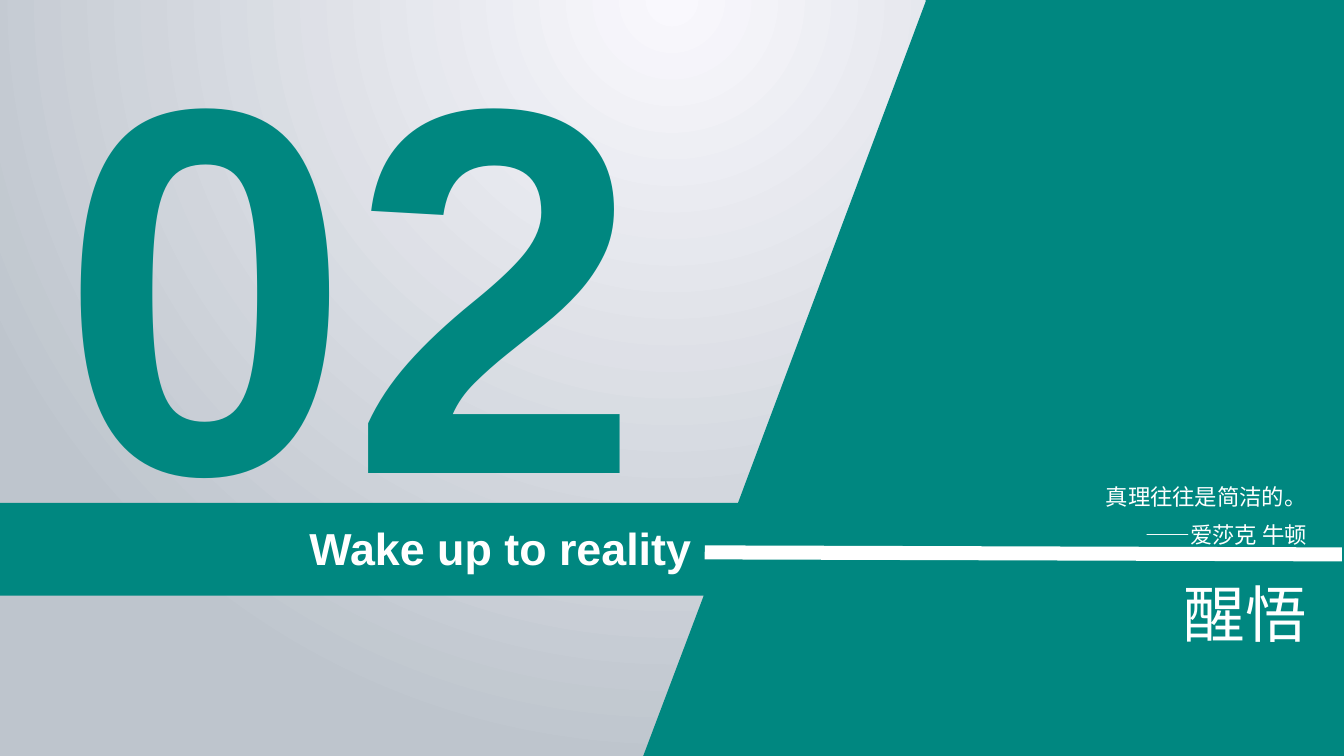
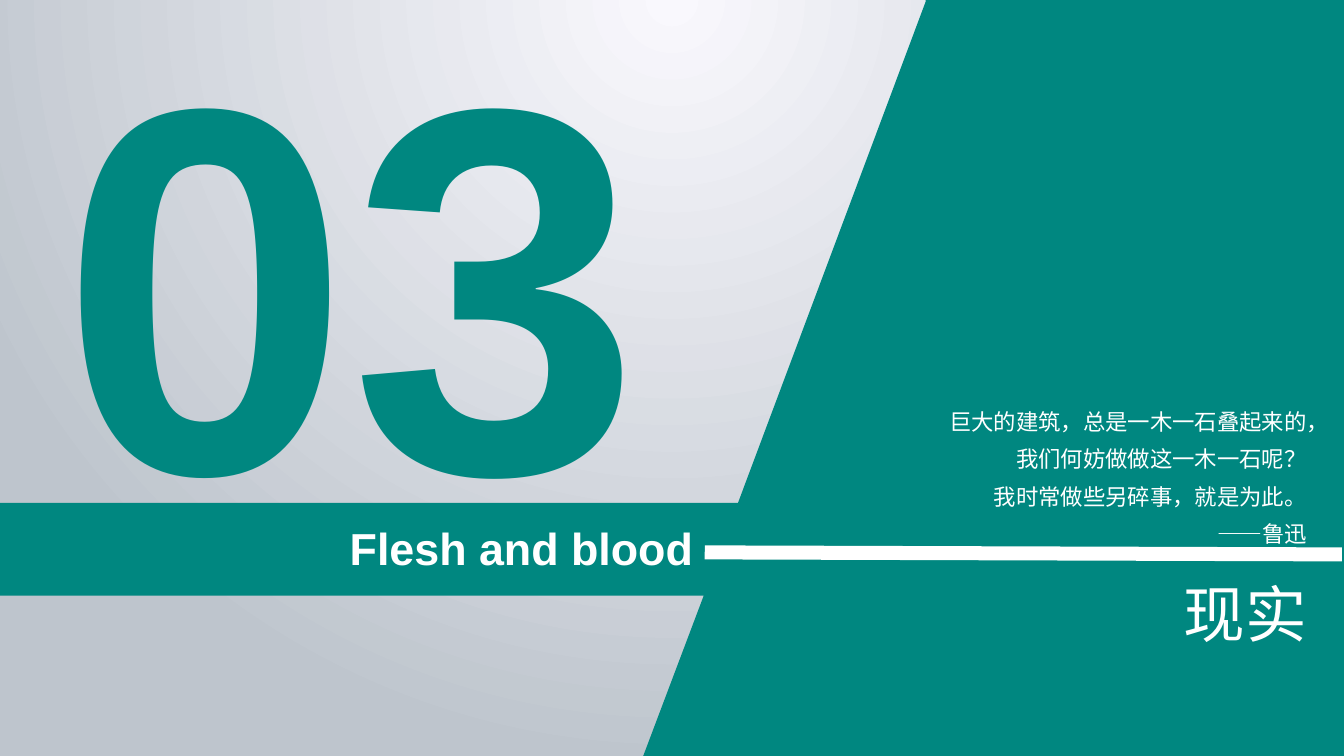
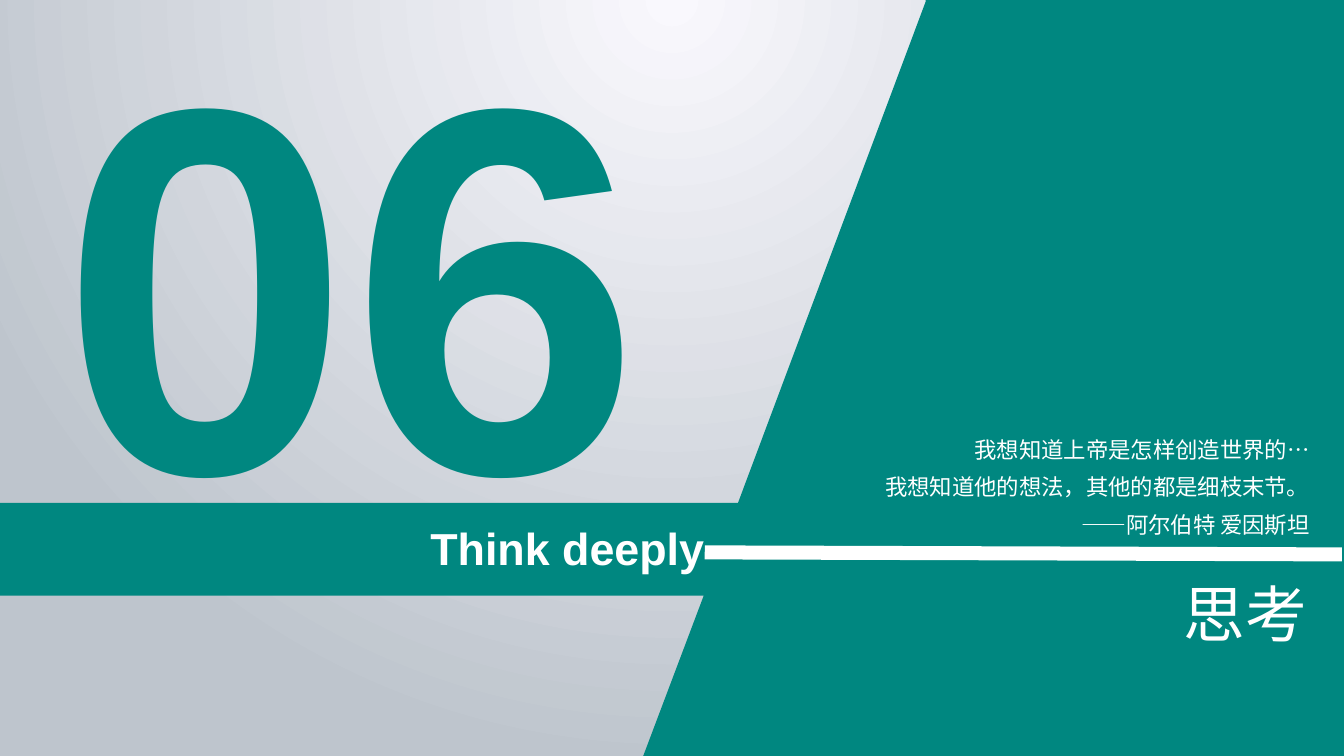
from dataclasses import dataclass

from pptx import Presentation
from pptx.dml.color import RGBColor
from pptx.enum.shapes import MSO_CONNECTOR
from pptx.enum.text import MSO_AUTO_SIZE, PP_ALIGN
from pptx.oxml.ns import qn
from pptx.oxml.xmlchemy import OxmlElement
from pptx.util import Pt

PX = 9144
PAGE_WIDTH, PAGE_HEIGHT = 1333, 750


@dataclass(frozen=True)
class Theme:
    """Colours, fonts and type sizes shared by every page."""

    teal: RGBColor = RGBColor(0x00, 0x87, 0x80)
    white: RGBColor = RGBColor(0xFF, 0xFF, 0xFF)
    glow: RGBColor = RGBColor(0xF9, 0xF8, 0xFD)
    mist: RGBColor = RGBColor(0xBE, 0xC5, 0xCD)
    latin: str = "Arial"
    chinese: str = "Noto Sans CJK SC"
    number_size: int = 373
    heading_size: int = 44
    subtitle_size: int = 32
    quote_size: int = 16
    quote_spacing: float = 1.4
    rule_width: int = 10


@dataclass(frozen=True)
class Section:
    """Wording of one section page and the boxes that vary with it."""

    number: str
    heading: str
    subtitle: str
    subtitle_box: tuple
    quote: tuple
    quote_box: tuple


THEME = Theme()

SECTIONS = (
    Section(
        "02", "醒悟", "Wake up to reality", (297, 512, 402, 64),
        ("真理往往是简洁的。", "——爱莎克 牛顿"),
        (913, 464, 393, 83),
    ),
    Section(
        "03", "现实", "Flesh and blood", (337, 512, 364, 64),
        (
            "巨大的建筑，总是一木一石叠起来的，",
            "我们何妨做做这一木一石呢？",
            "我时常做些另碎事，就是为此。",
            "——鲁迅",
        ),
        (913, 389, 393, 196),
    ),
    Section(
        "06", "思考", "Think deeply", (417, 512, 294, 64),
        (
            "我想知道上帝是怎样创造世界的…",
            "我想知道他的想法，其他的都是细枝末节。",
            "——阿尔伯特 爱因斯坦",
        ),
        (856, 417, 453, 123),
    ),
)


def emu(*lengths):
    """Turn px lengths into EMU."""
    return [length * PX for length in lengths]


def paint_background(master):
    """Give the master a circular gradient centred above the page."""
    fill = master.background.fill
    fill.gradient()
    for stop, color in zip(fill.gradient_stops, (THEME.glow, THEME.mist)):
        stop.color.rgb = color
    gradient = master.element.cSld.find(".//" + qn("a:gradFill"))
    gradient.remove(gradient.find(qn("a:lin")))
    circle = OxmlElement("a:path")
    circle.set("path", "circle")
    focus = OxmlElement("a:fillToRect")
    for side, share in zip("ltrb", (50, -80, 50, 180)):
        focus.set(side, str(share * 1000))
    circle.append(focus)
    gradient.append(circle)


def add_text(page, box, lines, font_name, size, color, bold=False,
             wrap=True, align=PP_ALIGN.LEFT, spacing=None):
    """Place lines of evenly styled text in a box."""
    frame = page.shapes.add_textbox(*emu(*box)).text_frame
    frame.word_wrap = wrap
    frame.auto_size = MSO_AUTO_SIZE.SHAPE_TO_FIT_TEXT
    frame.text = "\n".join(lines)
    for para in frame.paragraphs:
        para.alignment = align
        para.line_spacing = spacing
        for span in para.runs:
            span.font.size = Pt(size)
            span.font.bold = bold
            span.font.color.rgb = color
            span.font.name = font_name
            east_asian = OxmlElement("a:ea")
            east_asian.set("typeface", font_name)
            span.font._element.append(east_asian)


def add_panel(page, box):
    """Draw the slanted panel with its band reaching the left edge."""
    left, top, width, height = box
    right, bottom = left + width, top + height
    band_top, band_bottom = top + 499, top + 591
    outline = page.shapes.build_freeform(left + 918, top, scale=PX)
    outline.add_line_segments([
        (right, top),
        (right, bottom),
        (left + 638, bottom),
        (left + 698, band_bottom),
        (left, band_bottom),
        (left, band_top),
        (left + 732, band_top),
        (left + 918, top + 2),
    ])
    panel = outline.convert_to_shape()
    panel.shadow.inherit = False
    panel.fill.solid()
    panel.fill.fore_color.rgb = THEME.teal
    panel.line.fill.background()


def add_rule(page, box):
    """Draw the heavy white rule across a box from corner to corner."""
    left, top, width, height = box
    rule = page.shapes.add_connector(
        MSO_CONNECTOR.STRAIGHT, *emu(left, top, left + width, top + height))
    rule.line.color.rgb = THEME.white
    rule.line.width = Pt(THEME.rule_width)
    rule._element.spPr.append(OxmlElement("a:effectLst"))


def add_section(deck, section):
    """Build one section page."""
    page = deck.slides.add_slide(deck.slide_layouts[6])
    add_text(page, (50, -53, 602, 638), [section.number], THEME.latin,
             THEME.number_size, THEME.teal, bold=True, wrap=False)
    add_panel(page, (0, 0, PAGE_WIDTH, PAGE_HEIGHT))
    add_text(page, (1164, 566, 169, 84), [section.heading], THEME.chinese,
             THEME.heading_size, THEME.white)
    add_rule(page, (699, 548, 632, 2))
    add_text(page, section.quote_box, section.quote, THEME.chinese,
             THEME.quote_size, THEME.white, align=PP_ALIGN.RIGHT,
             spacing=THEME.quote_spacing)
    add_text(page, section.subtitle_box, [section.subtitle], THEME.latin,
             THEME.subtitle_size, THEME.white, bold=True, wrap=False)


def main():
    """Build and save the deck."""
    deck = Presentation()
    deck.slide_width, deck.slide_height = emu(PAGE_WIDTH, PAGE_HEIGHT)
    paint_background(deck.slide_master)
    for section in SECTIONS:
        add_section(deck, section)
    deck.save("out.pptx")


if __name__ == "__main__":
    main()
